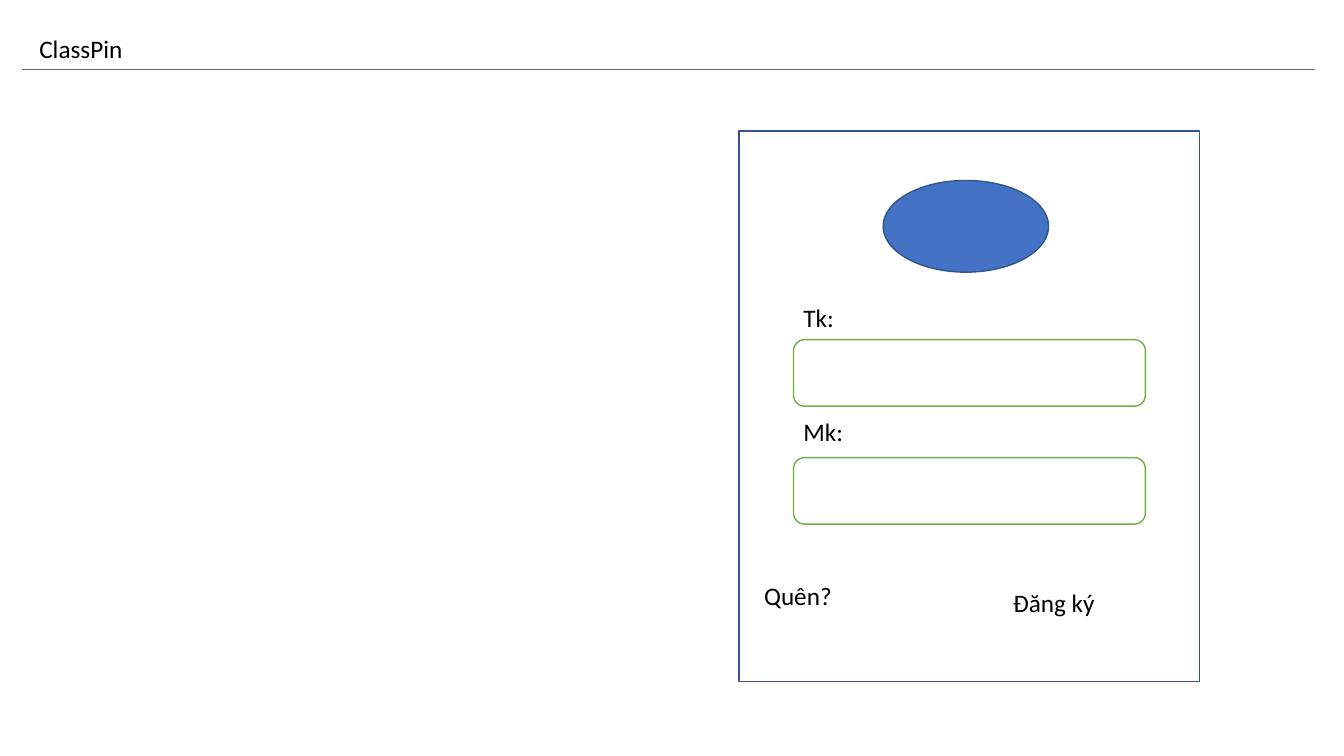
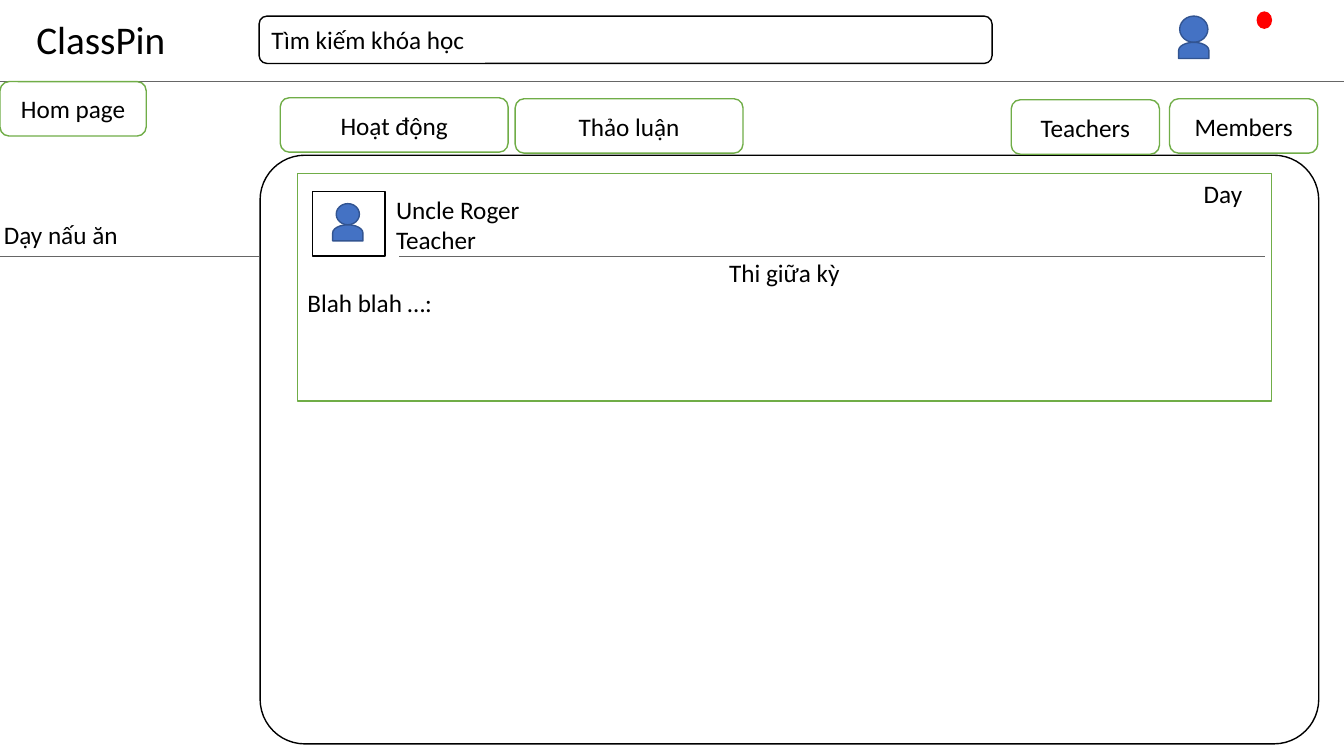
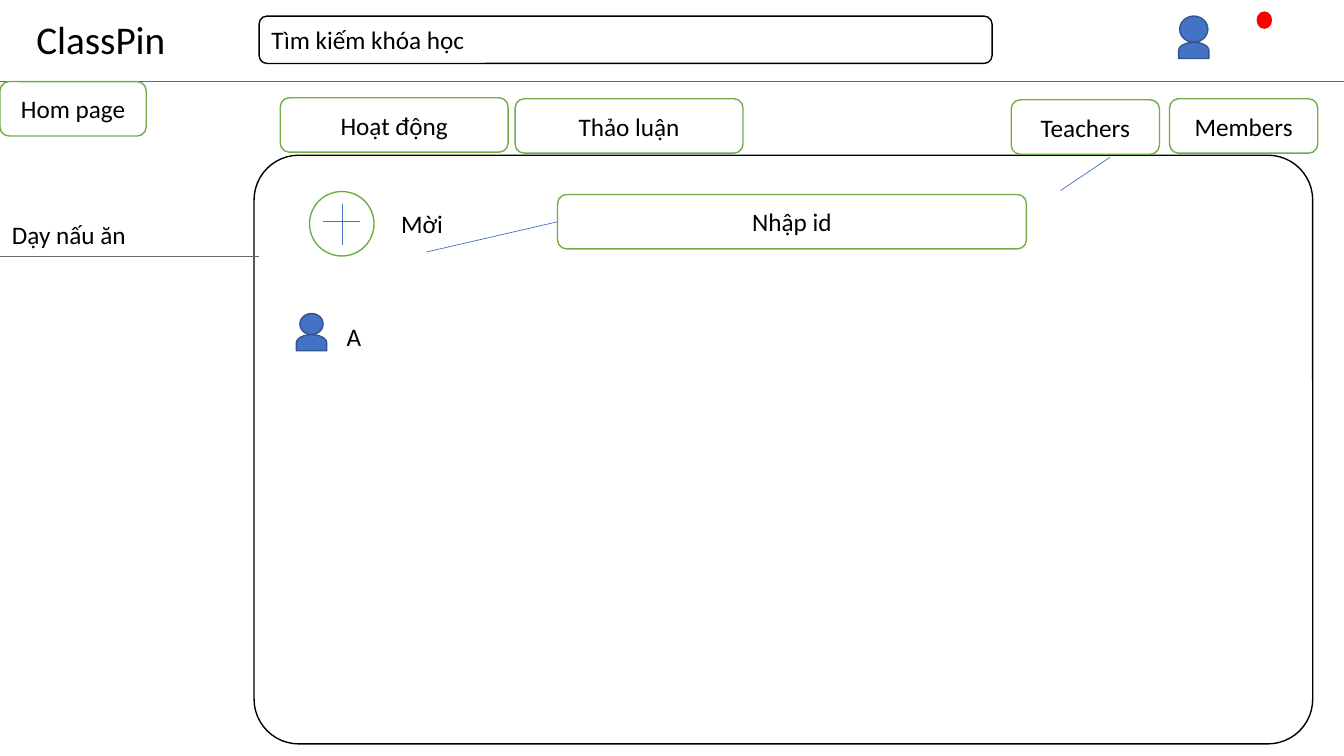
"""Build three wireframe slides for a class app: sign in, activity and members."""
import pptx
import pptx.dml.color
import pptx.enum.shapes
import pptx.enum.text
import pptx.oxml
import pptx.util

Inches, Pt = pptx.util.Inches, pptx.util.Pt
RGB = pptx.dml.color.RGBColor
SHAPE = pptx.enum.shapes.MSO_SHAPE
ALIGN = pptx.enum.text.PP_ALIGN
ANCHOR = pptx.enum.text.MSO_ANCHOR

FONT = "Calibri"
BLACK, WHITE, RED = RGB(0, 0, 0), RGB(255, 255, 255), RGB(255, 0, 0)
BLUE, NAVY = RGB(0x44, 0x72, 0xC4), RGB(0x32, 0x54, 0x91)
GREEN, GRAY = RGB(0x70, 0xAD, 0x47), RGB(0x66, 0x66, 0x66)

WIDTH, HEIGHT = 13.33, 7.5
SMALL_HEAD = (0.23, 0.21)

FIELDS = [("Tk:", 2.95, 3.37), ("Mk:", 4.08, 4.54)]
SIGN_IN_LINKS = [("Quên?", 7.48, 5.71), ("Đăng ký", 9.95, 5.78)]
TABS = [
    ("Hom page", 0, 0.81, 1.45),
    ("Hoạt động", 2.78, 0.97, 2.26),
    ("Thảo luận", 5.11, 0.98, 2.26),
    ("Teachers", 10.03, 0.99, 1.47),
    ("Members", 11.6, 0.98, 1.47),
]
TAB_HEIGHT = 0.54
SEARCH = "Tìm kiếm khóa học"
COURSE = "Dạy nấu ăn"
POST = [("Thi giữa kỳ", ALIGN.CENTER), ("Blah blah …:", ALIGN.LEFT)]
AUTHOR = [("Uncle Roger", ALIGN.LEFT), ("Teacher", ALIGN.LEFT)]


def write(tf, lines, size=18, anchor=ANCHOR.TOP):
    for name, value in {"word_wrap": True, "vertical_anchor": anchor}.items():
        setattr(tf, name, value)
    for i, (text, align) in enumerate(lines):
        p = tf.paragraphs[0] if i == 0 else tf.add_paragraph()
        p.alignment = align
        r = p.add_run()
        r.text = text
        for name, value in {"name": FONT, "size": Pt(size)}.items():
            setattr(r.font, name, value)
        r.font.color.rgb = BLACK


def add_title(s, left, top, width, height, size):
    sp = s.shapes.title
    box = {"left": left, "top": top, "width": width, "height": height}
    for name, value in box.items():
        setattr(sp, name, Inches(value))
    write(sp.text_frame, [("ClassPin", ALIGN.LEFT)], size)


def add_text(s, lines, left, top, width=2.31, height=0.4):
    if isinstance(lines, str):
        lines = [(lines, ALIGN.LEFT)]
    sp = s.shapes.add_textbox(Inches(left), Inches(top), Inches(width), Inches(height))
    write(sp.text_frame, lines)


def add_box(s, kind, box, line, fill=WHITE, lines=()):
    sp = s.shapes.add_shape(kind, *map(Inches, box))
    sp.shadow.inherit = False
    sp.fill.solid()
    sp.fill.fore_color.rgb = fill
    sp.line.color.rgb = line
    sp.line.width = Pt(1)
    if lines:
        write(sp.text_frame, lines, anchor=ANCHOR.MIDDLE)
    return sp


def add_line(s, x1, y1, x2, y2, color=GRAY):
    ends = map(Inches, (x1, y1, x2, y2))
    cxn = s.shapes.add_connector(pptx.enum.shapes.MSO_CONNECTOR.STRAIGHT, *ends)
    cxn.line.color.rgb = color
    cxn.line.width = Pt(0.5)
    effects = pptx.oxml.parse_xml(
        '<a:effectLst xmlns:a="http://schemas.openxmlformats.org/drawingml/2006/main"/>')
    cxn._element.spPr.append(effects)
    return cxn


def add_person(s, center, top, head):
    w, h = head
    add_box(s, SHAPE.OVAL, (center - w / 2, top, w, h), NAVY, BLUE)
    body = (center - 0.08, top + h - 0.07, 0.16, 0.3)
    add_box(s, SHAPE.FLOWCHART_DELAY, body, NAVY, BLUE).rotation = 270


def add_slide(prs):
    return prs.slides.add_slide(prs.slide_layouts[5])


def add_course_slide(prs, panel_left, course_left):
    s = add_slide(prs)
    add_title(s, 0.26, 0.1, 1.7, 0.57, 28)
    add_line(s, 0, 0.81, WIDTH, 0.81)
    add_box(s, SHAPE.ROUNDED_RECTANGLE, (2.57, 0.16, 7.27, 0.47), BLACK,
            lines=[(SEARCH, ALIGN.LEFT)])
    add_person(s, 11.84, 0.16, (0.28, 0.26))
    add_box(s, SHAPE.OVAL, (12.47, 0.12, 0.14, 0.16), RED, RED)
    panel = add_box(s, SHAPE.ROUNDED_RECTANGLE, (panel_left, 1.54, 10.5, 5.84), BLACK)
    panel.adjustments[0] = 0.076
    for text, left, top, width in TABS:
        add_box(s, SHAPE.ROUNDED_RECTANGLE, (left, top, width, TAB_HEIGHT), GREEN,
                lines=[(text, ALIGN.CENTER)])
    add_line(s, 0, 2.54, 2.57, 2.54)
    add_text(s, COURSE, course_left, 2.13, 1.5)
    return s


def build_sign_in(prs):
    s = add_slide(prs)
    add_title(s, 0.29, 0.28, 2.31, 0.4, 18)
    add_line(s, 0.22, 0.69, 13.04, 0.69)
    add_box(s, SHAPE.RECTANGLE, (7.33, 1.3, 4.57, 5.46), NAVY)
    add_box(s, SHAPE.OVAL, (8.76, 1.79, 1.64, 0.91), NAVY, BLUE)
    for label, label_top, field_top in FIELDS:
        add_text(s, label, 7.87, label_top)
        add_box(s, SHAPE.ROUNDED_RECTANGLE, (7.87, field_top, 3.49, 0.66), GREEN)
    for text, left, top in SIGN_IN_LINKS:
        add_text(s, text, left, top)


def build_activity(prs):
    s = add_course_slide(prs, 2.58, -0.06)
    add_box(s, SHAPE.RECTANGLE, (2.95, 1.72, 9.66, 2.26), GREEN, lines=POST)
    add_line(s, 3.96, 2.54, 12.55, 2.54)
    add_text(s, AUTHOR, 3.83, 1.88, 1.6, 0.71)
    add_box(s, SHAPE.RECTANGLE, (3.1, 1.9, 0.72, 0.64), BLACK)
    add_person(s, 3.45, 2.02, SMALL_HEAD)
    add_text(s, "Day", 11.84, 1.72, 1)


def build_members(prs):
    s = add_course_slide(prs, 2.52, 0.02)
    add_line(s, 11.01, 1.56, 10.52, 1.89, BLUE)
    add_box(s, SHAPE.OVAL, (3.07, 1.9, 0.64, 0.64), GREEN)
    add_line(s, 3.4, 2.02, 3.4, 2.43, BLUE)
    add_line(s, 3.2, 2.2, 3.57, 2.2, BLUE)
    add_text(s, "Mời", 3.88, 2.02, 0.8)
    entry = add_box(s, SHAPE.ROUNDED_RECTANGLE, (5.53, 1.93, 4.65, TAB_HEIGHT), GREEN,
                    lines=[("Nhập id", ALIGN.CENTER)])
    add_line(s, 4.23, 2.5, 5.53, 2.2, BLUE).end_connect(entry, 1)
    add_person(s, 3.09, 3.11, SMALL_HEAD)
    add_text(s, "A", 3.34, 3.14)


def main():
    prs = pptx.Presentation()
    prs.slide_width, prs.slide_height = Inches(WIDTH), Inches(HEIGHT)
    for build in (build_sign_in, build_activity, build_members):
        build(prs)
    prs.save("out.pptx")


if __name__ == "__main__":
    main()
